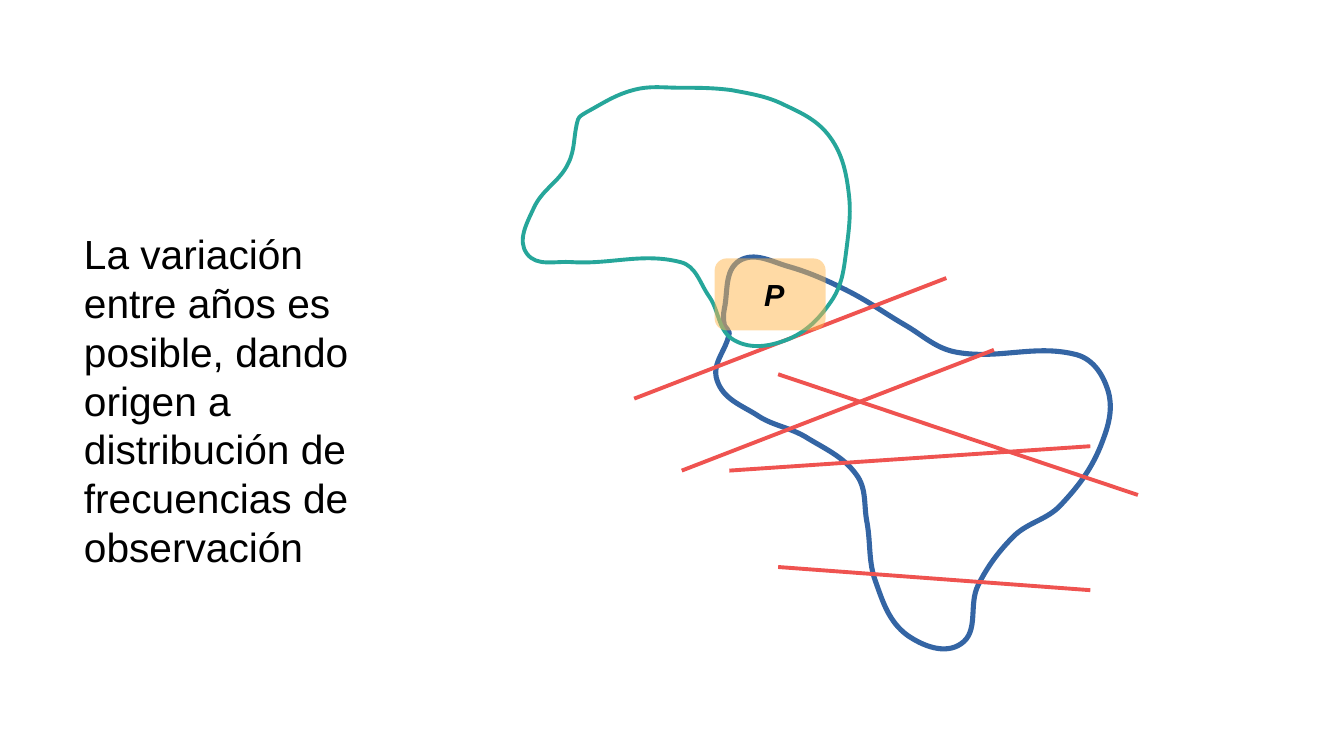
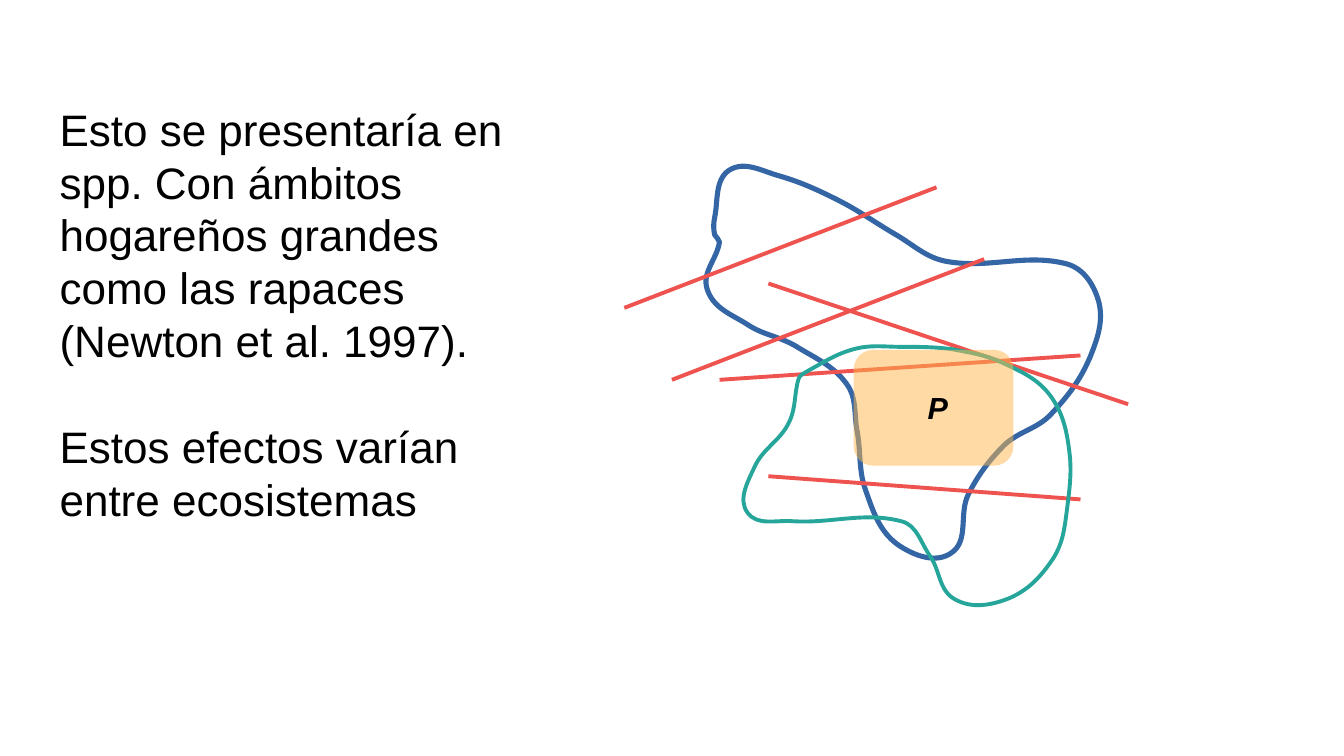
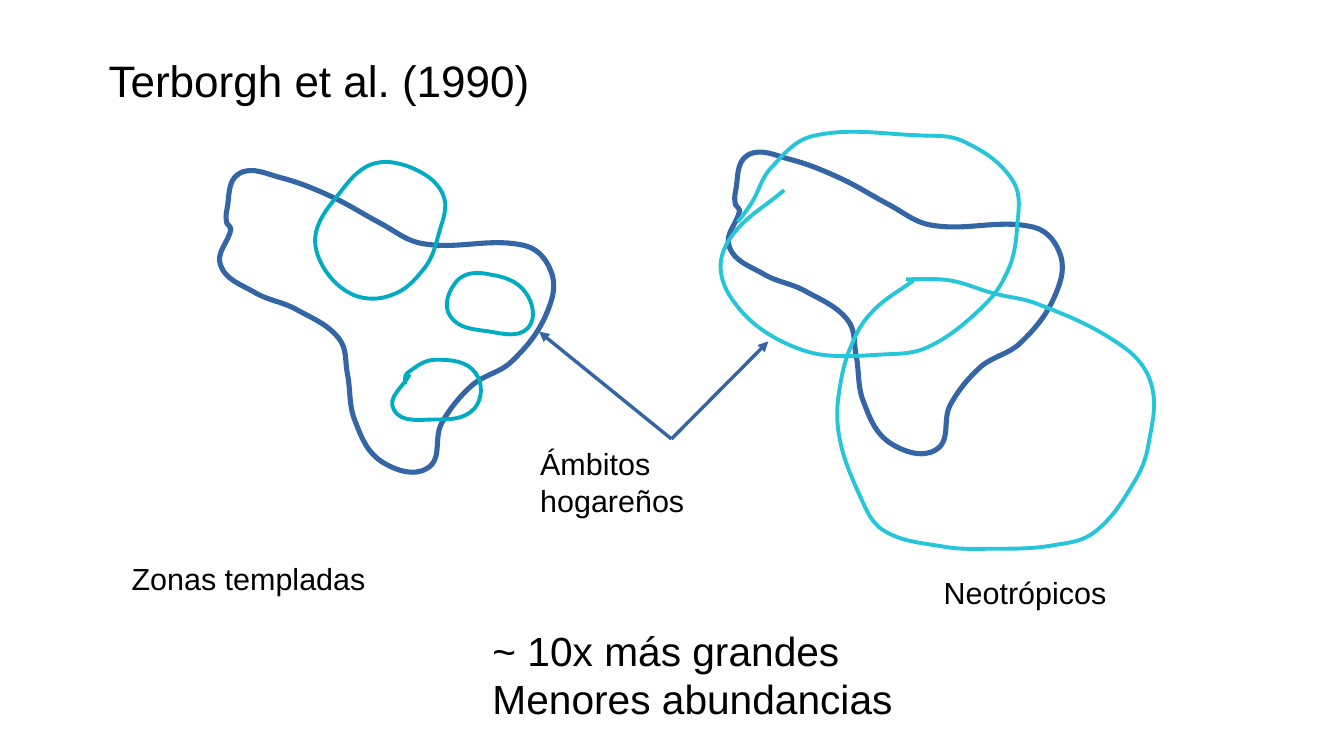
import math

import pptx
import pptx.dml.color
import pptx.enum.shapes
import pptx.enum.text
import pptx.oxml
import pptx.oxml.ns
import pptx.util
import lxml.etree

Pt = pptx.util.Pt
qn = pptx.oxml.ns.qn
ANCHOR = pptx.enum.text.MSO_ANCHOR
FIT = pptx.enum.text.MSO_AUTO_SIZE
ALIGN = pptx.enum.text.PP_ALIGN
SHAPE = pptx.enum.shapes.MSO_SHAPE
STRAIGHT = pptx.enum.shapes.MSO_CONNECTOR.STRAIGHT

FONT = "Arial"
SLIDE_SIZE = (793.44, 446.4)
GRID = 0.72
SMOOTHNESS = 0.36
COLORS = {
    "text": "000000",
    "study_area": "3465A4",
    "barrier": "EF5350",
    "home_range": "26A69A",
    "overlap": "FFB74D",
    "temperate": "00ACC1",
    "neotropical": "26C6DA",
}

OUTLINES = {
    "study_area": [
        (598, 273), (588, 312), (620, 340), (660, 358), (702, 389), (711, 429),
        (718, 477), (744, 521), (788, 528), (802, 480), (832, 439), (870, 414),
        (902, 367), (909, 322), (883, 291), (785, 289), (741, 266), (694, 238),
        (648, 219), (606, 214), (594, 253), (594, 267)],
    "home_range": [
        (474, 98), (466, 134), (438, 170), (432, 208), (469, 215), (558, 215),
        (582, 244), (602, 279), (647, 278), (683, 245), (694, 205), (696, 159),
        (681, 113), (643, 86), (600, 74), (558, 72), (519, 74), (481, 92)],
    "temperate_north": [
        (259, 191), (265, 219), (290, 242), (321, 242), (348, 220), (360, 191),
        (363, 159), (336, 137), (304, 135), (278, 159)],
    "temperate_south": [
        (336, 307), (323, 336), (357, 344), (389, 335), (390, 306), (358, 295),
        (334, 306), (332, 315)],
    "temperate_east": [
        (375, 230), (369, 259), (402, 272), (433, 269), (431, 240), (401, 225)],
    "neotropical_north": [
        (643, 156), (602, 191), (591, 221), (606, 253), (639, 279), (674, 291),
        (720, 291), (758, 286), (799, 258), (824, 227), (834, 187), (831, 149),
        (790, 116), (753, 111), (669, 111), (633, 137), (616, 167), (605, 182)],
    "neotropical_south": [
        (749, 230), (715, 256), (697, 286), (688, 322), (688, 357), (703, 402),
        (723, 434), (772, 448), (818, 450), (865, 447), (898, 436), (929, 397),
        (942, 363), (944, 315), (919, 283), (850, 249), (813, 240), (779, 230),
        (743, 229)],
}
OPEN_OUTLINES = {"temperate_south", "neotropical_north", "neotropical_south"}

BARRIERS = [
    (374.4, 235.4, 558.7, 164.2),
    (402.5, 277.9, 586.8, 206.6),
    (430.6, 277.9, 643.7, 263.5),
    (459.4, 221, 671.8, 292.3),
    (459.4, 334.8, 643.7, 348.5),
]

OVERLAP_SLIDES = [
    dict(
        paragraphs=["La variación entre años es posible, dando origen a "
                    "distribución de frecuencias de observación"],
        text_area=(42.5, 131.8, 184.3, 194.4), size=24,
        area_shift=(0, 0), range_shift=(0, 0),
        overlap=(421.9, 152.6, 65.5, 42.5),
    ),
    dict(
        paragraphs=["Esto se presentaría en spp. Con ámbitos hogareños grandes "
                    "como las rapaces (Newton et al. 1997).",
                    "Estos efectos varían entre ecosistemas"],
        text_area=(28.1, 56.9, 297.4, 280.1), size=26, gap=31.3,
        area_shift=(-5.8, -53.6), range_shift=(130.3, 153),
        overlap=(504, 206.6, 94.3, 68.4),
    ),
]

TITLE = ("Terborgh et al. (1990)", (56.9, 28.1, 666, 36))
AREA_STRETCH = (0.847, 0.77)
AREA_SHIFTS = [(72, -27.1), (-228.3, -16.2)]
RANGES = [
    ("temperate_north", "temperate"),
    ("temperate_south", "temperate"),
    ("temperate_east", "temperate"),
    ("neotropical_north", "neotropical"),
    ("neotropical_south", "neotropical"),
]
RANGE_LABEL = ("Ámbitos hogareños", (311.8, 259.2, 169.2, 27.4))
ARROW_TIPS = [(453.6, 201.6), (318.2, 195.8)]
ZONE_LABELS = [
    ("Zonas templadas", (70.6, 326.9, 152.6, 27.4)),
    ("Neotrópicos", (550.1, 335.5, 110.2, 27.4)),
]
CONCLUSION = (["~ 10x más grandes", "Menores abundancias"], (283.7, 365.8, 297.4, 60.5))


def color(name):
    return pptx.dml.color.RGBColor.from_string(COLORS[name])


def points(values):
    return [Pt(value) for value in values]


def style(para, size, bold=None, italic=None):
    font = para.font
    font.name, font.size, font.bold, font.italic = FONT, Pt(size), bold, italic
    font.color.rgb = color("text")


def add_text(page, paragraphs, area, size, wrap=True, gap=0):
    box = page.shapes.add_textbox(*points(area))
    frame = box.text_frame
    frame.word_wrap = wrap
    frame.auto_size = FIT.SHAPE_TO_FIT_TEXT
    for index, text in enumerate(paragraphs):
        para = frame.add_paragraph() if index else frame.paragraphs[0]
        para.text = text
        style(para, size)
        if index and gap:
            para.space_before = Pt(gap)
    return box


def direction(knots, index, closed):
    count = len(knots)
    if closed:
        before, after = knots[(index - 1) % count], knots[(index + 1) % count]
    else:
        before, after = knots[max(index - 1, 0)], knots[min(index + 1, count - 1)]
    angle = math.atan2(after[1] - before[1], after[0] - before[0])
    return math.cos(angle), math.sin(angle)


def curve_handles(knots, index, closed):
    following = (index + 1) % len(knots)
    reach = SMOOTHNESS * math.dist(knots[index], knots[following])
    for knot, sign in ((index, 1), (following, -1)):
        slope = direction(knots, knot, closed)
        yield [round(place + sign * reach * step) for place, step in zip(knots[knot], slope)]


def add_outline(page, name, color_name, width=2.3, shift=(0, 0), stretch=(1, 1)):
    knots = OUTLINES[name]
    closed = name not in OPEN_OUTLINES
    scale = tuple(Pt(GRID) * factor for factor in stretch)
    builder = page.shapes.build_freeform(*knots[0], scale=scale)
    builder.add_line_segments(knots[1:] + knots[:1] * closed, close=closed)
    shape = builder.convert_to_shape(*points(shift))
    shape.shadow.inherit = False
    shape.fill.background()
    shape.line.color.rgb = color(color_name)
    shape.line.width = Pt(width)
    left, top = (min(values) for values in zip(*knots))
    for index, segment in enumerate(list(shape.element.iter(qn("a:lnTo")))):
        segment.tag = qn("a:cubicBezTo")
        for place, (x, y) in enumerate(curve_handles(knots, index, closed)):
            handle = segment.makeelement(qn("a:pt"), {"x": str(x - left), "y": str(y - top)})
            segment.insert(place, handle)


def add_line(page, ends, color_name, width, arrow=False):
    line = page.shapes.add_connector(STRAIGHT, *points(ends))
    line.line.color.rgb = color(color_name)
    line.line.width = Pt(width)
    properties = line.element.spPr
    if arrow:
        lxml.etree.SubElement(properties.find(qn("a:ln")), qn("a:tailEnd"), type="triangle")
    lxml.etree.SubElement(properties, qn("a:effectLst"))
    return line


def add_overlap(page, area):
    box = page.shapes.add_shape(SHAPE.ROUNDED_RECTANGLE, *points(area))
    box.shadow.inherit = False
    box.fill.solid()
    box.fill.fore_color.rgb = color("overlap")
    tint = box.element.spPr.find(qn("a:solidFill"))[0]
    lxml.etree.SubElement(tint, qn("a:alpha"), val="50000")
    box.line.fill.background()
    frame = box.text_frame
    frame.margin_left, frame.margin_right = Pt(5), Pt(0)
    frame.vertical_anchor = ANCHOR.MIDDLE
    para = frame.paragraphs[0]
    para.text = "P"
    para.alignment = ALIGN.CENTER
    style(para, 18, bold=True, italic=True)


def add_overlap_slide(deck, content):
    page = deck.slides.add_slide(deck.slide_layouts[6])
    shift_x, shift_y = shift = content["area_shift"]
    add_outline(page, "study_area", "study_area", 3, shift)
    for x1, y1, x2, y2 in BARRIERS:
        ends = (x1 + shift_x, y1 + shift_y, x2 + shift_x, y2 + shift_y)
        add_line(page, ends, "barrier", 2.3)
    add_outline(page, "home_range", "home_range", shift=content["range_shift"])
    add_overlap(page, content["overlap"])
    add_text(page, content["paragraphs"], content["text_area"], content["size"],
             gap=content.get("gap", 0))


def add_title(page, text, area):
    title = page.shapes.title
    title.left, title.top, title.width, title.height = points(area)
    frame = title.text_frame
    frame.text = text
    frame.auto_size = FIT.NONE
    frame.vertical_anchor = ANCHOR.TOP
    para = frame.paragraphs[0]
    para.alignment = ALIGN.LEFT
    style(para, 26)


def add_comparison_slide(deck):
    page = deck.slides.add_slide(deck.slide_layouts[5])
    add_title(page, *TITLE)
    for shift in AREA_SHIFTS:
        add_outline(page, "study_area", "study_area", 3, shift, AREA_STRETCH)
    for name, color_name in RANGES:
        add_outline(page, name, color_name)
    text, area = RANGE_LABEL
    label = add_text(page, [text], area, 18, wrap=False)
    left, top, width, _ = area
    for tip in ARROW_TIPS:
        arrow = add_line(page, (left + width / 2, top, *tip), "study_area", 0, arrow=True)
        arrow.begin_connect(label, 0)
    for text, area in ZONE_LABELS:
        add_text(page, [text], area, 18, wrap=False)
    add_text(page, *CONCLUSION, 24)


def main():
    deck = pptx.Presentation()
    deck.slide_width, deck.slide_height = points(SLIDE_SIZE)
    for content in OVERLAP_SLIDES:
        add_overlap_slide(deck, content)
    add_comparison_slide(deck)
    deck.save("out.pptx")


if __name__ == "__main__":
    main()
